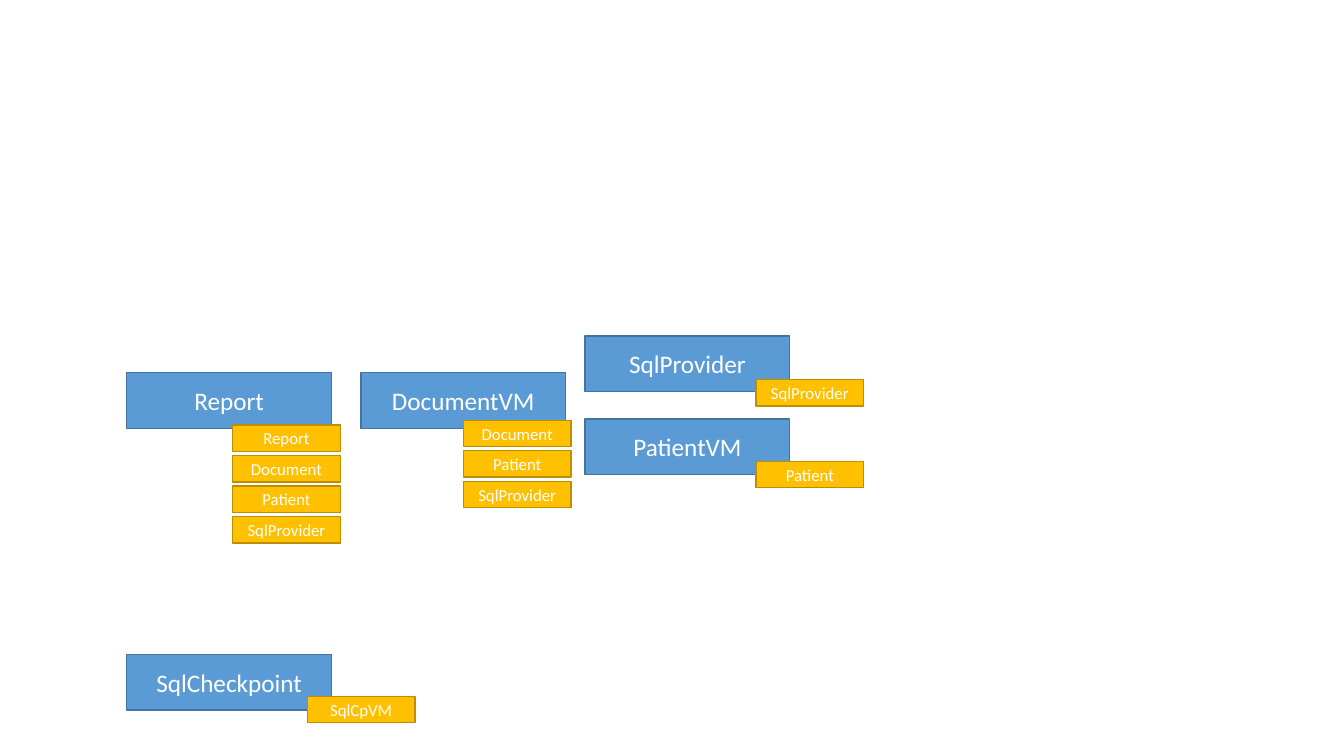
from dataclasses import dataclass

from pptx import Presentation
from pptx.dml.color import RGBColor
from pptx.enum.shapes import MSO_SHAPE
from pptx.enum.text import MSO_ANCHOR, PP_ALIGN
from pptx.util import Pt

RECT = MSO_SHAPE.RECTANGLE
MIDDLE = MSO_ANCHOR.MIDDLE
CENTER = PP_ALIGN.CENTER
BLANK_LAYOUT = 6


@dataclass(frozen=True)
class Theme:
    font: str = "Calibri"
    text: str = "FFFFFF"
    model_fill: str = "5B9BD5"
    model_line: str = "43739E"
    tag_fill: str = "FFC000"
    tag_line: str = "BD8E00"
    model_size: int = 18
    tag_size: int = 12
    line_width: int = 1


class Diagram:
    """Draws view models and their tags; all lengths are in points."""

    MODEL_W, MODEL_H = 146.2, 39.6
    TAG_W, TAG_H = 77, 18.8
    TAG_PITCH = 21.8

    def __init__(self, slide, theme):
        self.slide = slide
        self.theme = theme

    def box(self, text, x, y, w, h, fill, line, size):
        sp = self.slide.shapes.add_shape(RECT, Pt(x), Pt(y), Pt(w), Pt(h))
        sp.shadow.inherit = False
        sp.fill.solid()
        sp.fill.fore_color.rgb = RGBColor.from_string(fill)
        sp.line.color.rgb = RGBColor.from_string(line)
        sp.line.width = Pt(self.theme.line_width)
        tf = sp.text_frame
        tf.word_wrap = True
        tf.vertical_anchor = MIDDLE
        p = tf.paragraphs[0]
        p.text = text
        p.alignment = CENTER
        p.font.name = self.theme.font
        p.font.size = Pt(size)
        p.font.color.rgb = RGBColor.from_string(self.theme.text)

    def model(self, name, x, y):
        t = self.theme
        self.box(name, x, y, self.MODEL_W, self.MODEL_H,
                 t.model_fill, t.model_line, t.model_size)

    def tags(self, names, x, y):
        t = self.theme
        for i, name in enumerate(names):
            self.box(name, x, y + i * self.TAG_PITCH, self.TAG_W, self.TAG_H,
                     t.tag_fill, t.tag_line, t.tag_size)


# Columns and rows shared by the boxes
REPORT_X, DOCUMENT_X, PROVIDER_X = 90.6, 257.8, 418
MAIN_Y = 266.3
PROVIDER_TAG_X = 540

MODELS = [
    ("PatientVM", PROVIDER_X, 299.4),
    ("DocumentVM", DOCUMENT_X, MAIN_Y),
    ("SqlProvider", PROVIDER_X, 240),
    ("SqlCheckpoint", REPORT_X, 467.5),
    ("Report", REPORT_X, MAIN_Y),
]
TAG_STACKS = [
    (["Document", "Patient", "SqlProvider"], 331, 300.2),
    (["Patient"], PROVIDER_TAG_X, 329.5),
    (["SqlCpVM"], 219.5, 497.5),
    (["Report", "Document", "Patient", "SqlProvider"], 166.2, 303.6),
    (["SqlProvider"], PROVIDER_TAG_X, 271.2),
]


def main():
    prs = Presentation()
    prs.slide_width, prs.slide_height = Pt(960), Pt(540)
    s = prs.slides.add_slide(prs.slide_layouts[BLANK_LAYOUT])
    diagram = Diagram(s, Theme())

    # View models
    for name, x, y in MODELS:
        diagram.model(name, x, y)

    # Tags, in front of the models
    for names, x, y in TAG_STACKS:
        diagram.tags(names, x, y)

    prs.save("out.pptx")


if __name__ == "__main__":
    main()
